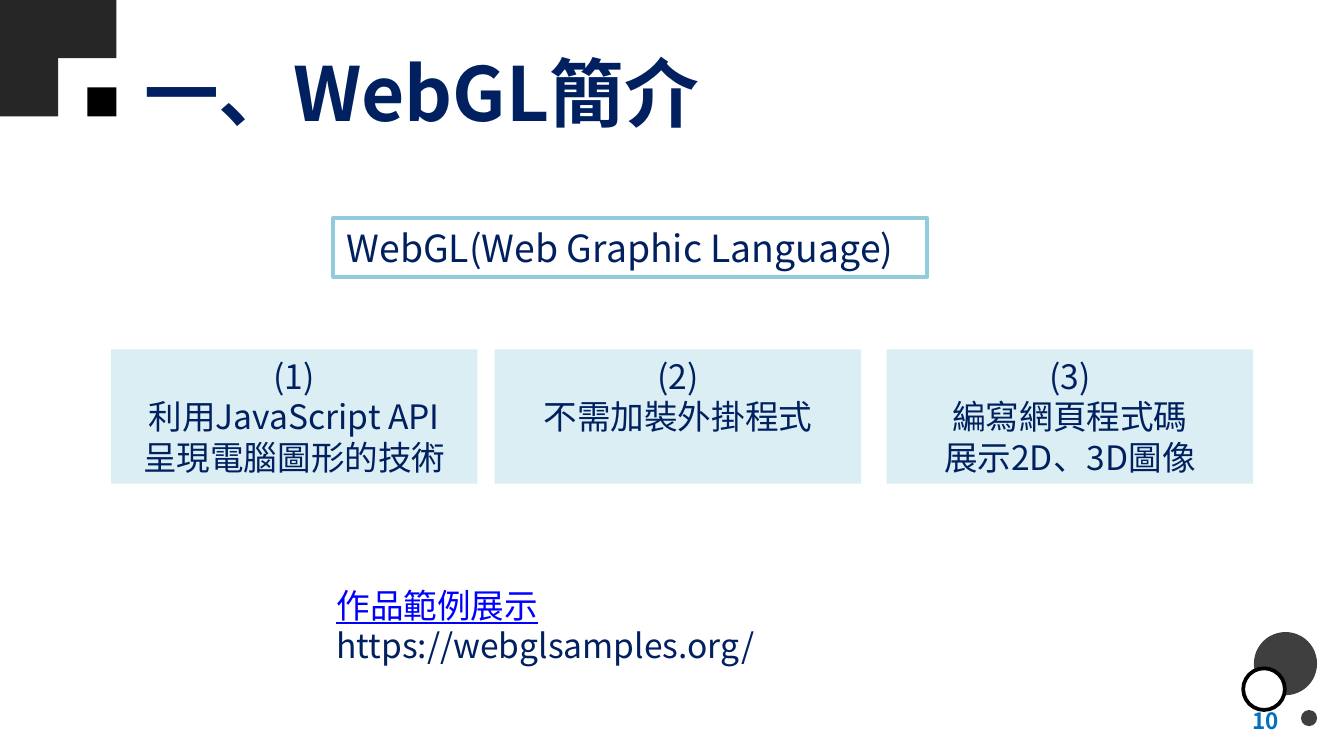
"""Build the WebGL introduction slide."""
from dataclasses import dataclass
from typing import Any, Optional

import lxml.etree
import pptx
import pptx.dml.color
import pptx.enum.shapes
import pptx.enum.text
import pptx.oxml.ns
import pptx.util

ALIGN = pptx.enum.text.PP_ALIGN
ANCHOR = pptx.enum.text.MSO_ANCHOR
PRESET = pptx.enum.shapes.MSO_SHAPE

SLIDE_WIDTH = pptx.util.Inches(10)
SLIDE_HEIGHT = SLIDE_WIDTH * 9 // 16
GRID_COLUMNS = 100
GRID_UNIT = SLIDE_WIDTH / GRID_COLUMNS


@dataclass(frozen=True)
class Theme:
    font: str = "Noto Sans CJK TC"
    navy: str = "002060"
    link: str = "0000FF"
    number: str = "0070C0"
    card: str = "DAEEF3"
    frame: str = "92CCDC"
    corner: str = "262626"
    bubble: str = "3F3F3F"
    black: str = "000000"
    white: str = "FFFFFF"
    title_size: int = 40
    heading_size: int = 20
    body_size: int = 18
    number_size: int = 12
    line_width: int = 2


THEME = Theme()


@dataclass(frozen=True)
class Place:
    column: float
    row: float
    columns: float
    rows: float

    def lengths(self) -> list[int]:
        return [round(value * GRID_UNIT) for value in (self.column, self.row, self.columns, self.rows)]


@dataclass(frozen=True)
class Mark:
    place: Place
    fill: str
    line: Optional[str] = None


@dataclass(frozen=True)
class Card:
    column: float
    lines: tuple[str, ...]


CORNER = 4.33
CORNER_MARKS = [
    *(Mark(Place(column * CORNER, row * CORNER, CORNER, CORNER), THEME.corner)
      for column, row in ((0, 0), (1, 0), (0, 1))),
    Mark(Place(1.5 * CORNER, 1.5 * CORNER, CORNER / 2, CORNER / 2), THEME.black),
]
BUBBLE_MARKS = [
    Mark(Place(93.3, 47.03, 4.7, 4.7), THEME.bubble),
    Mark(Place(96.8, 52.83, 1.2, 1.2), THEME.bubble),
    Mark(Place(92.5, 49.73, 3.1, 3.1), THEME.white, THEME.black),
]
CARD_ROW, CARD_COLUMNS, CARD_ROWS = 26, 27.27, 10
CARDS = [
    Card(8.26, ("(1)", "利用JavaScript API", "呈現電腦圖形的技術")),
    Card(36.8, ("(2)", "不需加裝外掛程式")),
    Card(65.97, ("(3)", "編寫網頁程式碼", "展示2D、3D圖像")),
]


def color(value: str) -> pptx.dml.color.RGBColor:
    return pptx.dml.color.RGBColor.from_string(value)


def add_run(paragraph: Any, text: str, size: int, ink: str = THEME.navy,
            bold: bool = False, underline: bool = False) -> None:
    run = paragraph.add_run()
    run.text = text
    font = run.font
    font.name = THEME.font
    font.size = pptx.util.Pt(size)
    font.bold = bold
    font.underline = underline
    font.color.rgb = color(ink)
    east_asian = lxml.etree.Element(pptx.oxml.ns.qn("a:ea"), typeface=THEME.font)
    font._element.find(pptx.oxml.ns.qn("a:latin")).addnext(east_asian)


def prepare_frame(shape: Any, anchor: Any = ANCHOR.TOP) -> Any:
    frame = shape.text_frame
    frame.word_wrap = True
    frame.auto_size = pptx.enum.text.MSO_AUTO_SIZE.NONE
    frame.vertical_anchor = anchor
    return frame


def add_mark(shapes: Any, preset: Any, mark: Mark) -> Any:
    shape = shapes.add_shape(preset, *mark.place.lengths())
    shape.shadow.inherit = False
    shape.fill.solid()
    shape.fill.fore_color.rgb = color(mark.fill)
    if mark.line:
        shape.line.color.rgb = color(mark.line)
        shape.line.width = pptx.util.Pt(THEME.line_width)
    else:
        shape.line.fill.background()
    return shape


def add_marks(slide: Any, preset: Any, marks: list[Mark]) -> None:
    group = slide.shapes.add_group_shape()
    for mark in marks:
        add_mark(group.shapes, preset, mark)


def add_title(slide: Any) -> None:
    title = slide.shapes.title
    title.left, title.top, title.width, title.height = Place(9.74, 2.1, 46.6, 9.4).lengths()
    paragraph = prepare_frame(title, ANCHOR.MIDDLE).paragraphs[0]
    paragraph.alignment = ALIGN.LEFT
    add_run(paragraph, "一、WebGL簡介", THEME.title_size, bold=True)


def add_heading(slide: Any) -> None:
    mark = Mark(Place(24.8, 16.23, 44.2, 4.4), THEME.white, THEME.frame)
    paragraph = prepare_frame(add_mark(slide.shapes, PRESET.RECTANGLE, mark)).paragraphs[0]
    paragraph.alignment = ALIGN.LEFT
    add_run(paragraph, "WebGL(Web Graphic Language)", THEME.heading_size)


def add_card(slide: Any, card: Card) -> None:
    mark = Mark(Place(card.column, CARD_ROW, CARD_COLUMNS, CARD_ROWS), THEME.card)
    frame = prepare_frame(add_mark(slide.shapes, PRESET.RECTANGLE, mark))
    for index, line in enumerate(card.lines):
        paragraph = frame.add_paragraph() if index else frame.paragraphs[0]
        paragraph.alignment = ALIGN.CENTER
        add_run(paragraph, line, THEME.body_size)


def add_samples(slide: Any) -> None:
    box = slide.shapes.add_textbox(*Place(24.05, 43, 49.2, 4).lengths())
    paragraph = prepare_frame(box).paragraphs[0]
    add_run(paragraph, "作品範例展示", THEME.body_size, THEME.link, underline=True)
    paragraph.add_line_break()
    add_run(paragraph, "https://webglsamples.org/", THEME.body_size)


def add_page_number(slide: Any) -> None:
    box = slide.shapes.add_textbox(*Place(72.85, 52.13, 23.3, 3).lengths())
    paragraph = prepare_frame(box, ANCHOR.MIDDLE).paragraphs[0]
    paragraph.alignment = ALIGN.RIGHT
    add_run(paragraph, "10", THEME.number_size, THEME.number, bold=True)


def main() -> None:
    presentation = pptx.Presentation()
    presentation.slide_width = SLIDE_WIDTH
    presentation.slide_height = SLIDE_HEIGHT
    slide = presentation.slides.add_slide(presentation.slide_layouts.get_by_name("Title Only"))
    add_title(slide)
    add_marks(slide, PRESET.RECTANGLE, CORNER_MARKS)
    add_marks(slide, PRESET.OVAL, BUBBLE_MARKS)
    add_heading(slide)
    for card in CARDS:
        add_card(slide, card)
    add_samples(slide)
    add_page_number(slide)
    presentation.save("out.pptx")


if __name__ == "__main__":
    main()
